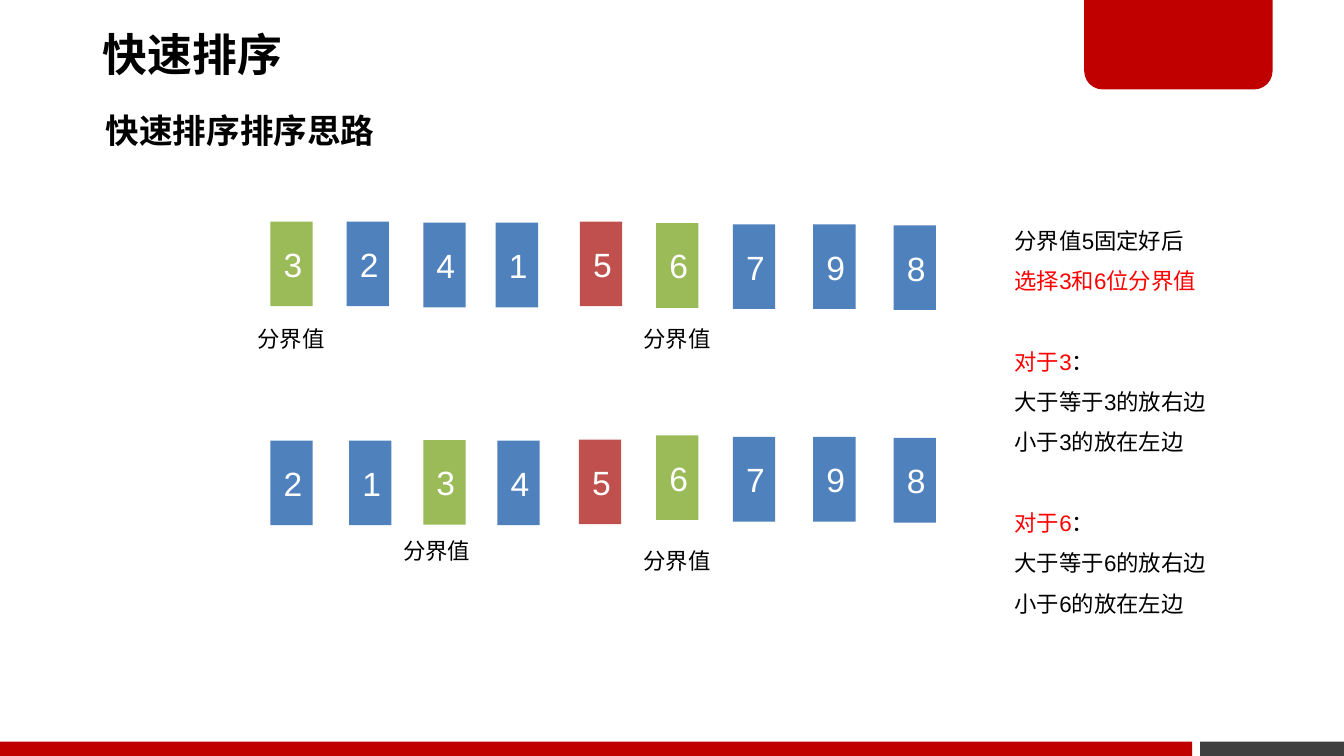
from pptx import Presentation
from pptx.dml.color import RGBColor
from pptx.enum.shapes import MSO_SHAPE as Preset
from pptx.enum.text import MSO_ANCHOR as Anchor, MSO_AUTO_SIZE as AutoSize, PP_ALIGN as Align
from pptx.oxml.ns import qn
from pptx.util import Cm, Pt
from lxml import etree

COLORS = {
    "text": "000000", "white": "FFFFFF", "accent": "C00000", "grey": "404040",
    "highlight": "FF0000", "plain": "4F81BD", "pivot": "9BBB59", "fixed": "C0504D",
}
BAR_WIDTH, BAR_HEIGHT = 0.8, 1.6

FIRST_ROW = [
    ("3", 5.11, 4.19, "pivot"), ("2", 6.55, 4.19, "plain"), ("4", 8, 4.21, "plain"),
    ("1", 9.37, 4.21, "plain"), ("5", 10.96, 4.19, "fixed"), ("6", 12.4, 4.22, "pivot"),
    ("7", 13.85, 4.24, "plain"), ("9", 15.37, 4.24, "plain"), ("8", 16.89, 4.26, "plain"),
]
SECOND_ROW = [
    ("2", 5.11, 8.33, "plain"), ("1", 6.6, 8.33, "plain"), ("3", 8, 8.32, "pivot"),
    ("4", 9.4, 8.33, "plain"), ("5", 10.94, 8.31, "fixed"), ("6", 12.4, 8.23, "pivot"),
    ("7", 13.85, 8.26, "plain"), ("9", 15.37, 8.26, "plain"), ("8", 16.89, 8.28, "plain"),
]
PIVOT_LABELS = [(4.62, 6.02), (11.91, 6.02), (7.37, 10.03), (11.91, 10.21)]


def side_rules(pivot):
    return [
        [(f"对于{pivot}", "highlight"), ("：", "text")],
        [(f"大于等于{pivot}的放右边", "text")],
        [(f"小于{pivot}的放在左边", "text")],
    ]


class SortSlide:
    """Holds the style and the current slide, and draws each kind of element."""

    font_name = "Arial"

    def __init__(self, deck):
        self.slide = deck.slides.add_slide(deck.slide_layouts[1])

    def style(self, run, size, color="text", bold=False):
        run.font.name = self.font_name
        run.font.size = Pt(size)
        run.font.bold = bold
        run.font.color.rgb = RGBColor.from_string(COLORS[color])

    def place(self, holder, left, top, width, height):
        holder.left, holder.top = Cm(left), Cm(top)
        holder.width, holder.height = Cm(width), Cm(height)

    def title(self, wording, left, top, width, height):
        heading = self.slide.shapes.title
        self.place(heading, left, top, width, height)
        frame = heading.text_frame
        frame.text = wording
        frame.auto_size = AutoSize.NONE
        frame.vertical_anchor = Anchor.MIDDLE
        frame.margin_left = frame.margin_right = Cm(0.19)
        frame.margin_top = frame.margin_bottom = Cm(0.1)
        line = frame.paragraphs[0]
        line.alignment = Align.LEFT
        line.line_spacing = 0.9
        self.style(line.runs[0], 24, bold=True)

    def label(self, wording, left, top, width, height, size=12, bold=False):
        caption = self.slide.shapes.add_textbox(Cm(left), Cm(top), Cm(width), Cm(height))
        frame = caption.text_frame
        frame.word_wrap = False
        frame.auto_size = AutoSize.SHAPE_TO_FIT_TEXT
        frame.text = wording
        self.style(frame.paragraphs[0].runs[0], size, bold=bold)

    def block(self, left, top, width, height, color, preset=Preset.RECTANGLE):
        block = self.slide.shapes.add_shape(preset, Cm(left), Cm(top), Cm(width), Cm(height))
        block.shadow.inherit = False
        block.fill.solid()
        block.fill.fore_color.rgb = RGBColor.from_string(COLORS[color])
        block.line.fill.background()
        return block

    def corner_tab(self, left, top, width, height):
        tab = self.block(left, top, width, height, "accent", Preset.ROUND_2_SAME_RECTANGLE)
        tab.rotation = 180
        tab.adjustments[0] = 0.2

    def number_bar(self, digit, left, top, color):
        frame = self.block(left, top, BAR_WIDTH, BAR_HEIGHT, color).text_frame
        frame.text = digit
        frame.vertical_anchor = Anchor.MIDDLE
        frame.paragraphs[0].alignment = Align.CENTER
        self.style(frame.paragraphs[0].runs[0], 18, "white")

    def explanation(self, groups, left, top, width, height):
        body = self.slide.placeholders[1]
        self.place(body, left, top, width, height)
        frame = body.text_frame
        frame.auto_size = AutoSize.NONE
        lines = [(parts, index) for group in groups for index, parts in enumerate(group)]
        for number, (parts, index) in enumerate(lines):
            line = frame.add_paragraph() if number else frame.paragraphs[0]
            properties = line._p.get_or_add_pPr()
            properties.set("marL", "0")
            properties.set("indent", "0")
            etree.SubElement(properties, qn("a:buNone"))
            line.line_spacing = 1.5
            line.space_before = Pt(21.6 if number and index == 0 else 0)
            for wording, color in parts:
                run = line.add_run()
                run.text = wording
                self.style(run, 12, color)


def main():
    deck = Presentation()
    deck.slide_width, deck.slide_height = Cm(25.4), Cm(14.29)
    page = SortSlide(deck)

    page.block(22.68, 14.02, 2.72, 0.27, "grey")
    page.corner_tab(20.49, -0.05, 3.56, 1.74)
    page.block(0, 14.02, 22.53, 0.27, "accent")
    page.title("快速排序", 1.75, -0.05, 14.96, 2.26)
    page.label("快速排序排序思路", 1.75, 1.96, 5.66, 1.02, size=18, bold=True)

    for bar in FIRST_ROW + SECOND_ROW:
        page.number_bar(*bar)
    for left, top in PIVOT_LABELS:
        page.label("分界值", left, top, 1.8, 0.76)

    choice = [("分界值5固定好后", "text")], [("选择3和6位分界值", "highlight")]
    opening = [choice[0] + []], [choice[1] + []]
    groups = [opening[0] + opening[1], side_rules(3), side_rules(6)]
    page.explanation(groups, 18.92, 3.91, 5.97, 7.87)
    deck.save("out.pptx")


if __name__ == "__main__":
    main()
